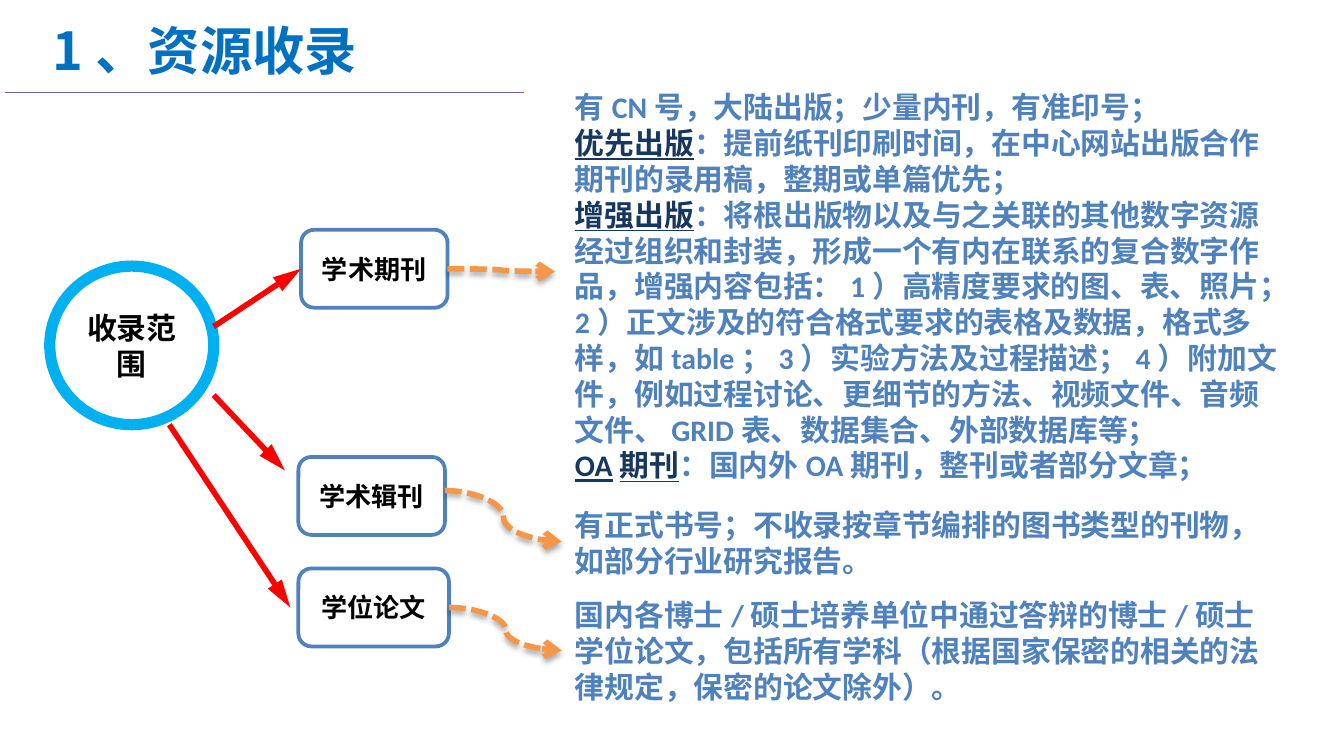
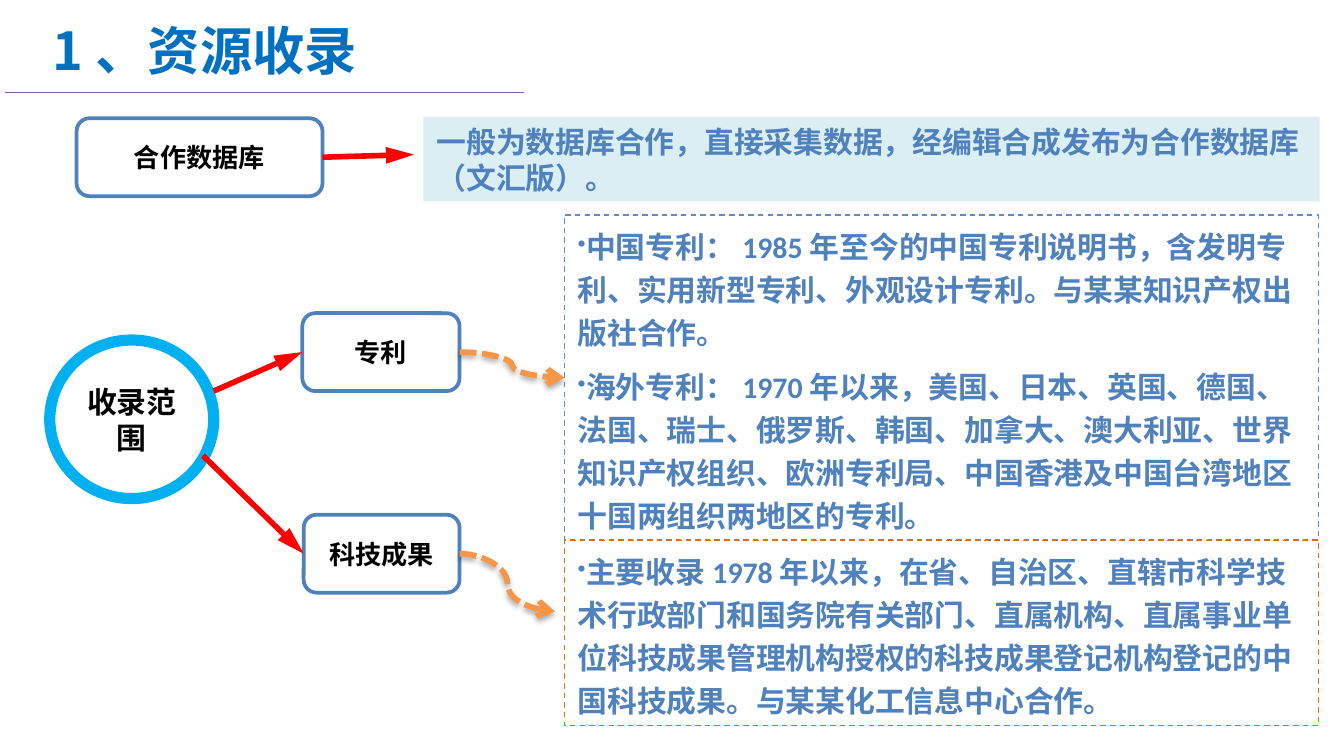
from lxml import etree
from pptx import Presentation
from pptx.dml.color import RGBColor
from pptx.enum.dml import MSO_LINE
from pptx.enum.shapes import MSO_CONNECTOR, MSO_SHAPE
from pptx.enum.text import MSO_ANCHOR, MSO_AUTO_SIZE, PP_ALIGN
from pptx.oxml import parse_xml
from pptx.oxml.ns import nsdecls, qn
from pptx.util import Inches, Pt

WHITE = RGBColor(0xFF, 0xFF, 0xFF)
BLACK = RGBColor(0x00, 0x00, 0x00)
TITLE_BLUE = RGBColor(0x00, 0x70, 0xC0)
RING_BLUE = RGBColor(0x00, 0xB0, 0xF0)
BLUE = RGBColor(0x4F, 0x81, 0xBD)
NAVY = RGBColor(0x17, 0x37, 0x5E)
PALE_BLUE = RGBColor(0xDB, 0xEE, 0xF4)
PATENT_BLUE = RGBColor(0x55, 0x8E, 0xD5)
RESULT_ORANGE = RGBColor(0xE4, 0x6C, 0x0A)
ORANGE = RGBColor(0xF7, 0x96, 0x46)
RED = RGBColor(0xFF, 0x00, 0x00)
PURPLE = RGBColor(0x7D, 0x60, 0xA0)

CJK = "Noto Sans CJK SC"
LATIN = "Calibri"
STRAIGHT, CURVE = MSO_CONNECTOR.STRAIGHT, MSO_CONNECTOR.CURVE
ELLIPSE, ROUNDED = MSO_SHAPE.OVAL, MSO_SHAPE.ROUNDED_RECTANGLE
DASH, SHORT_DASH = MSO_LINE.DASH, MSO_LINE.SQUARE_DOT
MIDDLE, LEFT, CENTER = MSO_ANCHOR.MIDDLE, PP_ALIGN.LEFT, PP_ALIGN.CENTER
GROW, NO_FIT = MSO_AUTO_SIZE.SHAPE_TO_FIT_TEXT, MSO_AUTO_SIZE.NONE
LEFT_SIDE, RIGHT_SIDE = 1, 3

SLIDE_W = Inches(10)
SLIDE_H = SLIDE_W * 9 // 16
BOX_H = 0.58
TEXT_X = 4.18
PANEL_X, PANEL_W = 4.2, 5.61

JOURNAL_NOTES = [
    ("", "有CN号，大陆出版；少量内刊，有准印号；"),
    ("优先出版", "：提前纸刊印刷时间，在中心网站出版合作期刊的录用稿，整期或单篇优先；"),
    ("增强出版", "：将根出版物以及与之关联的其他数字资源经过组织和封装，形成一个有内在联系的"
     "复合数字作品，增强内容包括：1）高精度要求的图、表、照片；2）正文涉及的符合格式要求的"
     "表格及数据，格式多样，如table；3）实验方法及过程描述；4）附加文件，例如过程讨论、"
     "更细节的方法、视频文件、音频文件、GRID表、数据集合、外部数据库等；"),
    ("OA期刊", "：国内外OA期刊，整刊或者部分文章；"),
]
SERIAL_NOTES = [("", "有正式书号；不收录按章节编排的图书类型的刊物，如部分行业研究报告。")]
THESIS_NOTES = [("", "国内各博士/硕士培养单位中通过答辩的博士/硕士学位论文，包括所有学科"
                 "（根据国家保密的相关的法律规定，保密的论文除外）。")]
DATABASE_NOTES = [("", "一般为数据库合作，直接采集数据，经编辑合成发布为合作数据库（文汇版）。")]
PATENT_NOTES = [
    ("", "中国专利：1985年至今的中国专利说明书，含发明专利、实用新型专利、外观设计专利。"
     "与某某知识产权出版社合作。"),
    ("", "海外专利：1970年以来，美国、日本、英国、德国、法国、瑞士、俄罗斯、韩国、加拿大、"
     "澳大利亚、世界知识产权组织、欧洲专利局、中国香港及中国台湾地区十国两组织两地区的专利。"),
]
RESULT_NOTES = [("", "主要收录1978年以来，在省、自治区、直辖市科学技术行政部门和国务院有关部门、"
                 "直属机构、直属事业单位科技成果管理机构授权的科技成果登记机构登记的中国科技成果。"
                 "与某某化工信息中心合作。")]


def inches(values):
    return [Inches(v) for v in values]


def format_run(r, size, color, font=CJK):
    r.font.size = Pt(size)
    r.font.bold = True
    r.font.name = font
    r.font.color.rgb = color
    etree.SubElement(r._r.get_or_add_rPr(), qn("a:ea")).set("typeface", CJK)


def add_link(s, kind, begin, end, color, width, from_box=None, to_box=None):
    link = s.shapes.add_connector(kind, *inches(begin + end))
    if from_box is not None:
        link.begin_connect(from_box, RIGHT_SIDE)
    if to_box is not None:
        link.end_connect(to_box, LEFT_SIDE)
    link.line.color.rgb = color
    link.line.width = Pt(width)
    return link, etree.SubElement(link._element.spPr, qn("a:effectLst"))


def add_head(link, head, length):
    tail = etree.SubElement(link.get_or_add_ln(), qn("a:tailEnd"))
    tail.set("type", head)
    tail.set("len", length)


def red_arrow(s, begin, end, **boxes):
    link, _ = add_link(s, STRAIGHT, begin, end, RED, 3, **boxes)
    add_head(link, "triangle", "lg")


def dashed_curve(s, begin, end, from_box=None):
    link, effects = add_link(s, CURVE, begin, end, ORANGE, 3, from_box)
    link.line.dash_style = SHORT_DASH
    add_head(link, "arrow", "med")
    effects.append(parse_xml(
        f'<a:outerShdw {nsdecls("a")} blurRad="40000" dist="23000" dir="5400000" '
        'rotWithShape="0"><a:srgbClr val="000000"><a:alpha val="35000"/>'
        '</a:srgbClr></a:outerShdw>'))


def add_node(s, kind, box, text, size, line, width):
    sp = s.shapes.add_shape(kind, *inches(box))
    sp.shadow.inherit = False
    sp.fill.solid()
    sp.fill.fore_color.rgb = WHITE
    sp.line.color.rgb = line
    sp.line.width = Pt(width)
    tf = sp.text_frame
    tf.word_wrap = True
    tf.vertical_anchor = MIDDLE
    tf.margin_left = tf.margin_right = 0
    tf.text = text
    p = tf.paragraphs[0]
    p.alignment = CENTER
    format_run(p.runs[0], size, BLACK)
    return sp


def add_hub(s, y):
    add_node(s, ELLIPSE, (0.37, y, 1.22, 1.18), "收录范围", 16, RING_BLUE, 6)


def add_category(s, x, y, w, text):
    return add_node(s, ROUNDED, (x, y, w, BOX_H), text, 14, BLUE, 2)


def add_bullet(p):
    pPr = p._p.get_or_add_pPr()
    pPr.set("marL", "0")
    pPr.set("indent", "0")
    color = etree.SubElement(pPr, qn("a:buClr"))
    etree.SubElement(color, qn("a:srgbClr")).set("val", str(BLUE))
    etree.SubElement(pPr, qn("a:buSzPct")).set("val", "80000")
    etree.SubElement(pPr, qn("a:buChar")).set("char", "•")


def add_notes(s, box, notes, bullets=False):
    sp = s.shapes.add_textbox(*inches(box))
    tf = sp.text_frame
    tf.word_wrap = True
    tf.auto_size = GROW
    for i, (term, body) in enumerate(notes):
        p = tf.add_paragraph() if i else tf.paragraphs[0]
        if term:
            r = p.add_run()
            r.text = term
            r.font.underline = True
            format_run(r, 16, NAVY, LATIN)
        r = p.add_run()
        r.text = body
        format_run(r, 16, BLUE, LATIN)
        if bullets:
            p.line_spacing = 1.2
            p.space_before = Pt(6)
            add_bullet(p)
    return sp


def add_panel(s, y, h, notes, color):
    sp = add_notes(s, (PANEL_X, y, PANEL_W, h), notes, bullets=True)
    sp.line.color.rgb = color
    sp.line.width = Pt(0.75)
    sp.line.dash_style = DASH


def add_slide(prs):
    s = prs.slides.add_slide(prs.slide_layouts[5])
    add_link(s, STRAIGHT, (0.04, 0.69), (3.9, 0.69), PURPLE, 0.75)
    title = s.shapes.title
    title.left, title.top, title.width, title.height = inches((0.29, 0.13, 5.06, 0.48))
    tf = title.text_frame
    tf.text = "1、资源收录"
    tf.auto_size = NO_FIT
    tf.vertical_anchor = MIDDLE
    p = tf.paragraphs[0]
    p.alignment = LEFT
    format_run(p.runs[0], 28, TITLE_BLUE)
    return s


def publications_slide(prs):
    s = add_slide(prs)
    add_hub(s, 1.98)
    journal = add_category(s, 2.24, 1.71, 1.09, "学术期刊")
    add_category(s, 2.22, 3.4, 1.09, "学术辑刊")
    thesis = add_category(s, 2.22, 4.23, 1.12, "学位论文")
    red_arrow(s, (1.59, 2.43), (2.22, 1.98), to_box=journal)
    red_arrow(s, (1.59, 2.94), (2.12, 3.5))
    red_arrow(s, (1.26, 3.16), (2.16, 4.52))
    dashed_curve(s, (3.33, 2), (4.13, 2.02), journal)
    dashed_curve(s, (3.31, 3.65), (TEXT_X, 4.03))
    dashed_curve(s, (3.35, 4.52), (TEXT_X, 4.84), thesis)
    journal_notes = add_notes(s, (TEXT_X, 0.48, 5.44, 3.17), JOURNAL_NOTES)
    journal_notes.text_frame.paragraphs[0].line_spacing = 1.5
    add_notes(s, (TEXT_X, 3.72, 5.37, 0.63), SERIAL_NOTES)
    add_notes(s, (TEXT_X, 4.39, 5.44, 0.9), THESIS_NOTES)


def databases_slide(prs):
    s = add_slide(prs)
    database = add_category(s, 0.57, 0.88, 1.83, "合作数据库")
    red_arrow(s, (2.4, 1.16), (3.08, 1.15), from_box=database)
    band = add_notes(s, (3.15, 0.87, 6.67, 0.63), DATABASE_NOTES)
    band.fill.solid()
    band.fill.fore_color.rgb = PALE_BLUE
    add_hub(s, 2.53)
    patent = add_category(s, 2.25, 2.33, 1.17, "专利")
    result = add_category(s, 2.26, 3.83, 1.16, "科技成果")
    red_arrow(s, (1.59, 2.91), (2.26, 2.62), to_box=patent)
    red_arrow(s, (1.51, 3.39), (2.25, 4.14), to_box=result)
    dashed_curve(s, (3.43, 2.62), (PANEL_X, 2.81), patent)
    dashed_curve(s, (3.43, 4.14), (4.13, 4.55), result)
    add_panel(s, 1.6, 2.42, PATENT_NOTES, PATENT_BLUE)
    add_panel(s, 4.02, 1.38, RESULT_NOTES, RESULT_ORANGE)


def main():
    prs = Presentation()
    prs.slide_width, prs.slide_height = SLIDE_W, SLIDE_H
    publications_slide(prs)
    databases_slide(prs)
    prs.save("out.pptx")


if __name__ == "__main__":
    main()
